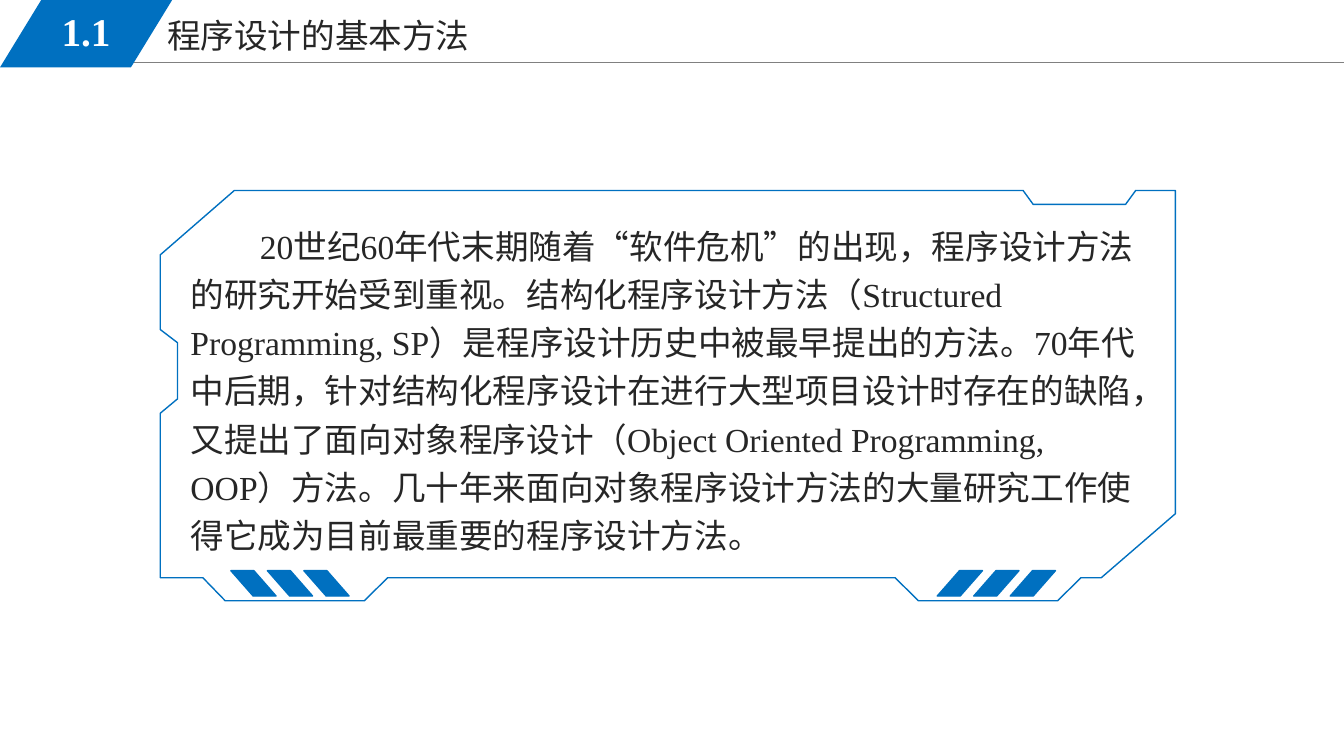
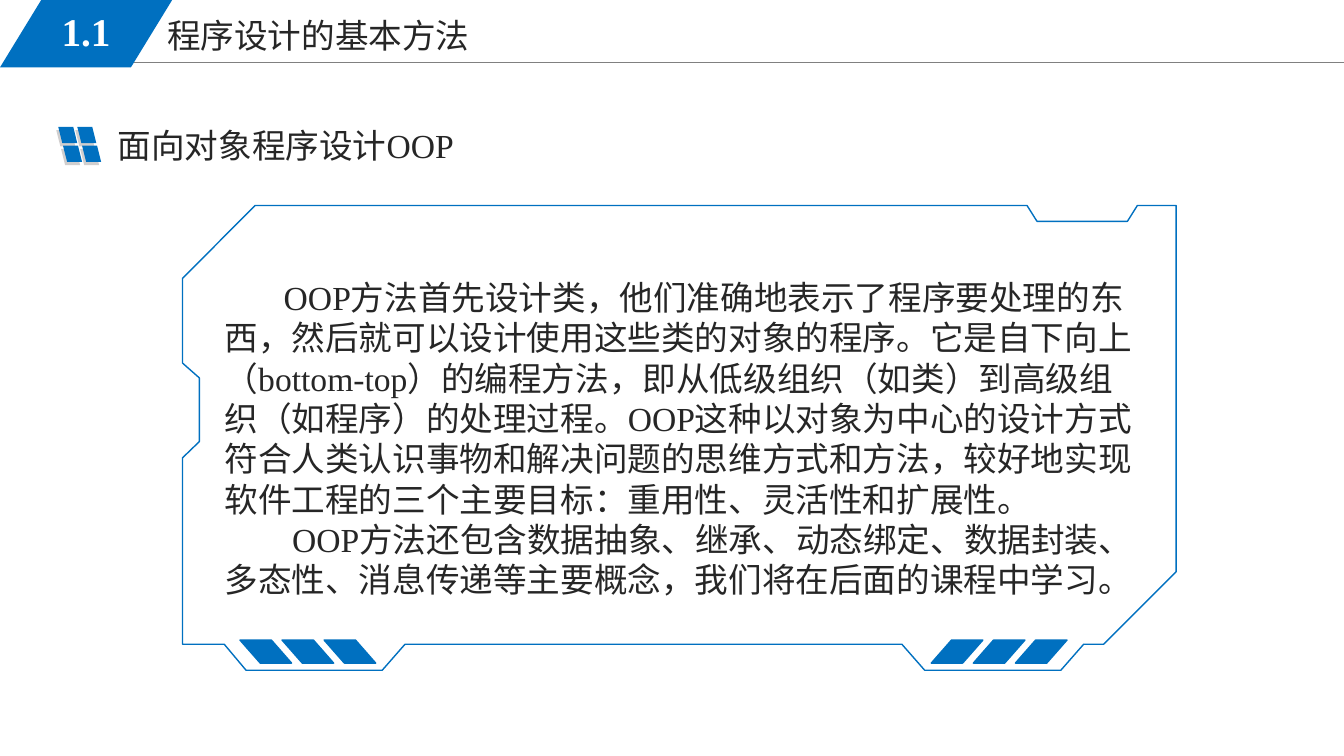
from dataclasses import dataclass

from lxml import etree
from pptx import Presentation
from pptx.dml.color import RGBColor
from pptx.enum.shapes import MSO_CONNECTOR, MSO_SHAPE
from pptx.enum.text import MSO_ANCHOR as ANCHOR, MSO_AUTO_SIZE as AUTO, PP_ALIGN as ALIGN
from pptx.oxml.ns import qn
from pptx.util import Cm, Pt

COLORS = {"blue": "0070C0", "ink": "262626", "rule": "808080",
          "shade": "D0CECE", "white": "FFFFFF"}
LATIN, CJK = "Times New Roman", "Noto Sans CJK SC"

# Panel outline in thousandths of the panel's width and height
OUTLINE = [(747, 1000), (884, 1000), (907, 944), (927, 944), (1000, 788), (1000, 0),
           (961, 0), (951, 34), (860, 34), (850, 0), (73, 0), (0, 157), (0, 339),
           (17, 371), (17, 508), (0, 543), (0, 944), (42, 944), (64, 1000),
           (201, 1000), (224, 944), (724, 944)]


@dataclass(frozen=True)
class Box:
    """A rectangle in centimetres."""
    left: float
    top: float
    width: float
    height: float

    def emu(self) -> tuple:
        return Cm(self.left), Cm(self.top), Cm(self.width), Cm(self.height)


@dataclass(frozen=True)
class Panel:
    frame: Box
    left_slash: Box
    right_slash: Box
    pitch: float


@dataclass(frozen=True)
class Body:
    box: Box
    line_pt: float
    paragraphs: list  # (first-line indent in cm, text)


def rgb(name: str) -> RGBColor:
    return RGBColor.from_string(COLORS[name])


def style_text(p, size: float, color: str = "ink", latin: str = LATIN, bold: bool = False) -> None:
    for r in p.runs:
        r.font.size, r.font.bold, r.font.name = Pt(size), bold, latin
        r.font.color.rgb = rgb(color)
        rPr = r.font._element
        rPr.set("lang", "zh-CN")
        ea = etree.Element(qn("a:ea"), typeface=CJK)
        rPr.find(qn("a:latin")).addnext(ea)


def place(sp, box: Box, anchor=ANCHOR.MIDDLE):
    sp.left, sp.top, sp.width, sp.height = box.emu()
    tf = sp.text_frame
    tf.word_wrap, tf.auto_size, tf.vertical_anchor = True, AUTO.NONE, anchor
    tf.margin_left = tf.margin_right = Cm(0.25)
    tf.margin_top = tf.margin_bottom = Cm(0.13)
    return tf


def slant(shapes, box: Box, color: str, adj: float = 0.25, flip: bool = False, outlined: bool = False):
    sp = shapes.add_shape(MSO_SHAPE.PARALLELOGRAM, *box.emu())
    sp.adjustments[0] = adj
    sp.shadow.inherit = False
    sp.fill.solid()
    sp.fill.fore_color.rgb = rgb(color)
    if outlined:
        sp.line.color.rgb, sp.line.width = rgb(color), Pt(1)
    else:
        sp.line.fill.background()
    if flip:
        sp.element.spPr.find(qn("a:xfrm")).set("flipH", "1")
    return sp


# Shared header: rule, numbered tab, title
def draw_header(slide, number: str, title: str) -> None:
    rule = slide.shapes.add_connector(MSO_CONNECTOR.STRAIGHT, Cm(2.87), Cm(1.57), Cm(33.87), Cm(1.57))
    rule.line.color.rgb, rule.line.width = rgb("rule"), Pt(0.75)
    etree.SubElement(rule.element.spPr, qn("a:effectLst"))

    tab = slant(slide.shapes, Box(0, 0, 4.34, 1.7), "blue", 0.612)
    tf = tab.text_frame
    tf.margin_left = tf.margin_right = tf.margin_top = 0
    tf.margin_bottom = Cm(0.13)
    tf.word_wrap, tf.vertical_anchor = False, ANCHOR.MIDDLE
    tf.text = number
    tf.paragraphs[0].alignment = ALIGN.CENTER
    style_text(tf.paragraphs[0], 28, "white", bold=True)

    tf = place(slide.shapes.title, Box(3.96, 0.23, 14.4, 1.3))
    tf.text = title
    tf.paragraphs[0].alignment = ALIGN.LEFT
    style_text(tf.paragraphs[0], 24, latin=CJK)


# Notched frame with three slashes in each foot
def draw_panel(slide, panel: Panel) -> None:
    shapes = slide.shapes.add_group_shape().shapes
    f = panel.frame
    pts = [(Cm(f.left + f.width * x / 1000), Cm(f.top + f.height * y / 1000)) for x, y in OUTLINE]
    ff = shapes.build_freeform(*pts[0])
    ff.add_line_segments(pts[1:], close=True)
    sp = ff.convert_to_shape()
    sp.shadow.inherit = False
    sp.fill.background()
    sp.line.color.rgb, sp.line.width = rgb("blue"), Pt(1)
    for first, flip in ((panel.right_slash, False), (panel.left_slash, True)):
        for i in range(3):
            box = Box(first.left + i * panel.pitch, first.top, first.width, first.height)
            slant(shapes, box, "blue", 0.878, flip, outlined=True)


def fill_body(slide, body: Body) -> None:
    tf = place(slide.placeholders[1], body.box, ANCHOR.TOP)
    for i, (indent, text) in enumerate(body.paragraphs):
        p = tf.add_paragraph() if i else tf.paragraphs[0]
        p.text = text
        pPr = p._p.get_or_add_pPr()
        pPr.set("marL", "0")
        pPr.set("indent", str(int(Cm(indent))))
        etree.SubElement(pPr, qn("a:buNone"))
        p.alignment = ALIGN.LEFT
        p.space_before = p.space_after = Pt(0)
        p.line_spacing = Pt(body.line_pt)
        style_text(p, 24)


# Section heading with a four-tile icon and its offset shade
def draw_heading(slide, text: str) -> None:
    shapes = slide.shapes.add_group_shape().shapes
    for color, left, top in (("shade", 1.42, 3.28), ("blue", 1.47, 3.2)):
        for col in range(2):
            for row in range(2):
                box = Box(left + 0.48 * col + 0.12 * row, top + 0.47 * row, 0.48, 0.41)
                slant(shapes, box, color, flip=True)
    box = Box(2.72, 3.02, 15.2, 1.27)
    tf = place(slide.shapes.add_textbox(*box.emu()), box)
    tf.text = text
    style_text(tf.paragraphs[0], 24)


def add_content_slide(prs, panel: Panel, body: Body, heading: str = ""):
    slide = prs.slides.add_slide(prs.slide_layouts[1])
    draw_header(slide, "1.1", "程序设计的基本方法")
    fill_body(slide, body)
    draw_panel(slide, panel)
    if heading:
        draw_heading(slide, heading)


HISTORY_PANEL = Panel(Box(4.04, 4.8, 25.58, 10.34), Box(5.82, 14.38, 1.14, 0.64),
                      Box(23.62, 14.38, 1.14, 0.64), 0.92)
HISTORY = Body(Box(4.55, 5.35, 24.6, 8.76), 34.5, [
    (1.75, "20世纪60年代末期随着“软件危机”的出现，程序设计方法的研究开始受到重视。"
           "结构化程序设计方法（Structured Programming, SP）是程序设计历史中被最早提出的方法。"
           "70年代中后期，针对结构化程序设计在进行大型项目设计时存在的缺陷，"
           "又提出了面向对象程序设计（Object Oriented Programming, OOP）方法。"
           "几十年来面向对象程序设计方法的大量研究工作使得它成为目前最重要的程序设计方法。"),
])
OOP_PANEL = Panel(Box(4.6, 5.18, 25.04, 11.71), Box(6.05, 16.13, 1.3, 0.58),
                  Box(23.47, 16.13, 1.3, 0.58), 1.06)
OOP = Body(Box(5.41, 6.85, 23.45, 8.46), 28.8, [
    (1.49, "OOP方法首先设计类，他们准确地表示了程序要处理的东西，"
           "然后就可以设计使用这些类的对象的程序。它是自下向上（bottom-top）的编程方法，"
           "即从低级组织（如类）到高级组织（如程序）的处理过程。"
           "OOP这种以对象为中心的设计方式符合人类认识事物和解决问题的思维方式和方法，"
           "较好地实现软件工程的三个主要目标：重用性、灵活性和扩展性。"),
    (1.7, "OOP方法还包含数据抽象、继承、动态绑定、数据封装、多态性、消息传递等主要概念，"
          "我们将在后面的课程中学习。"),
])


def main() -> None:
    prs = Presentation()
    prs.slide_width, prs.slide_height = Cm(33.87), Cm(19.05)
    add_content_slide(prs, HISTORY_PANEL, HISTORY)
    add_content_slide(prs, OOP_PANEL, OOP, "面向对象程序设计OOP")
    prs.save("out.pptx")


if __name__ == "__main__":
    main()
